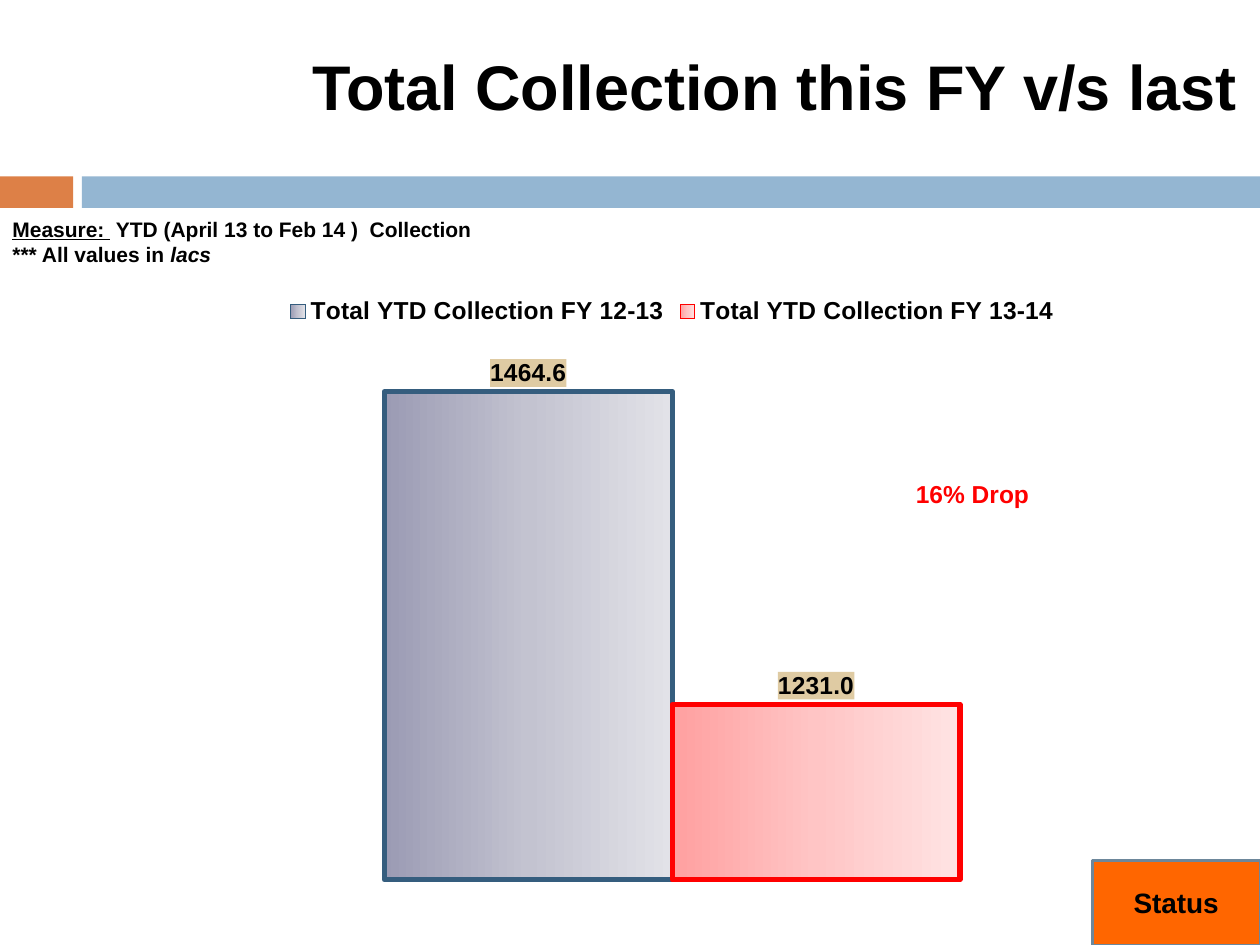
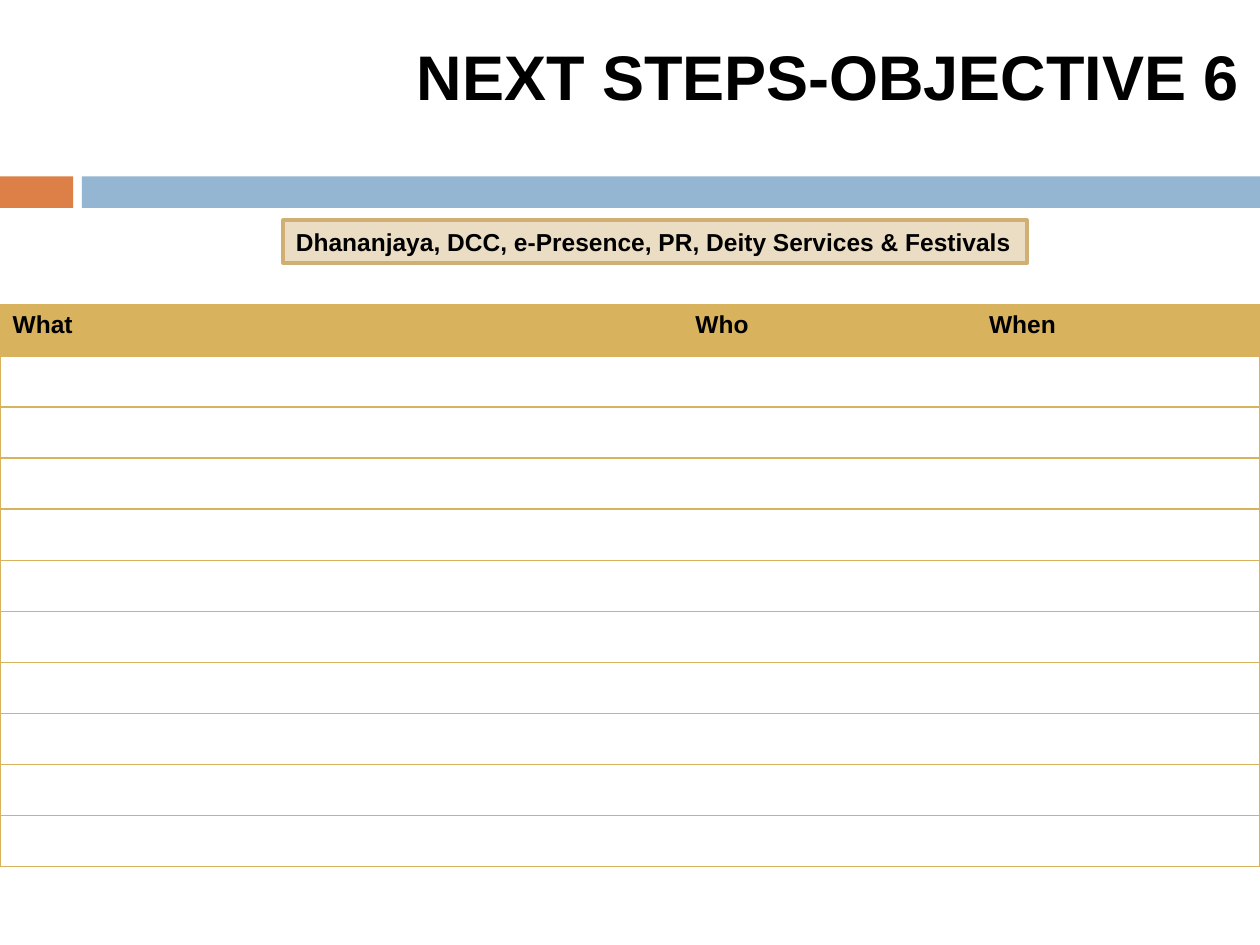
import pptx
import pptx.util
import pptx.oxml
import pptx.oxml.ns
import pptx.dml.color
import pptx.chart.data
import pptx.enum.chart
import pptx.enum.shapes
import pptx.enum.text

Inches = pptx.util.Inches
Pt = pptx.util.Pt
RGB = pptx.dml.color.RGBColor.from_string
RECTANGLE = pptx.enum.shapes.MSO_SHAPE.RECTANGLE
DRAWING = pptx.oxml.ns.nsdecls("a")

COLORS = {
    "text": "000000",
    "orange_band": "DD8047",
    "blue_band": "94B6D2",
    "status": "FF6600",
    "status_line": "6D879B",
    "owners": "EBDDC3",
    "owners_line": "D0AF72",
    "gold": "D8B25C",
    "value_label": "DFCBA3",
    "alert": "FF0000",
    "last_year_line": "355D7E",
}


def add_block(slide, place, fill, line=None, line_width=1.0):
    block = slide.shapes.add_shape(RECTANGLE, *[Inches(n) for n in place])
    block.shadow.inherit = False
    block.fill.solid()
    block.fill.fore_color.rgb = RGB(COLORS[fill])
    if line:
        block.line.color.rgb = RGB(COLORS[line])
        block.line.width = Pt(line_width)
    else:
        block.line.fill.background()
    return block


def style_text(frame, size, color="text", align=pptx.enum.text.PP_ALIGN.LEFT):
    for paragraph in frame.paragraphs:
        paragraph.alignment = align
        for run in paragraph.runs:
            run.font.name = "Arial"
            run.font.size = Pt(size)
            run.font.bold = True
            run.font.color.rgb = RGB(COLORS[color])


deck = pptx.Presentation()
deck.slide_width = Inches(10)
deck.slide_height = Inches(7.5)

slides = []
for title, left, top in [
    ("Total Collection this FY v/s last", 2.38, 0.33),
    ("NEXT STEPS-OBJECTIVE 6", 3.21, 0.25),
]:
    slide = deck.slides.add_slide(deck.slide_layouts[6])
    add_block(slide, (0, 1.4, 0.58, 0.25), "orange_band")
    add_block(slide, (0.65, 1.4, 9.35, 0.25), "blue_band")
    heading = slide.shapes.add_textbox(
        Inches(left), Inches(top), Inches(10 - left), Inches(0.71)).text_frame
    heading.word_wrap = False
    heading.text = title
    style_text(heading, 36)
    slides.append(slide)
collection_slide, steps_slide = slides

status = add_block(collection_slide, (8.67, 6.83, 1.33, 0.67), "status", "status_line", 1.5)
status.text_frame.text = "Status"
style_text(status.text_frame, 16, align=pptx.enum.text.PP_ALIGN.CENTER)

measure = collection_slide.shapes.add_textbox(
    Inches(0), Inches(1.67), Inches(4.25), Inches(0.5)).text_frame
measure.word_wrap = True
measure.text = "Measure: \n*** All values in "
period = measure.paragraphs[0].add_run()
period.text = " YTD (April 13 to Feb 14 )  Collection"
unit = measure.paragraphs[1].add_run()
unit.text = "lacs"
style_text(measure, 12)
measure.paragraphs[0].runs[0].font.underline = True
unit.font.italic = True

collections_by_year = [
    ("Total YTD Collection FY 12-13", 1464.6, "last_year_line", ("9B9BB4", "C3C3D0", "E2E2E8")),
    ("Total YTD Collection FY 13-14", 1231.0, "alert", ("FFA0A0", "FFC5C5", "FFE3E3")),
]
chart_data = pptx.chart.data.CategoryChartData(number_format="0.0")
chart_data.categories = ["1"]
for name, total, outline, shades in collections_by_year:
    chart_data.add_series(name, [total])
chart = collection_slide.shapes.add_chart(
    pptx.enum.chart.XL_CHART_TYPE.COLUMN_CLUSTERED,
    Inches(1.17), Inches(2.25), Inches(8.33), Inches(4.83), chart_data).chart
chart.has_title = False
chart.font.name = "Cabin"
chart.font.size = Pt(18)
chart.font.color.rgb = RGB(COLORS["text"])
chart.has_legend = True
chart.legend.position = pptx.enum.chart.XL_LEGEND_POSITION.TOP
chart.legend.include_in_layout = False
chart.legend.font.name = "Arial"
chart.legend.font.size = Pt(14)
chart.legend.font.bold = True
chart.category_axis.visible = False
chart.value_axis.visible = False
chart.value_axis.has_major_gridlines = False
chart.value_axis.minimum_scale = 1100
chart.value_axis.maximum_scale = 1500

plot = chart.plots[0]
plot.gap_width = 150
plot.overlap = 0
plot.vary_by_categories = False
for series, (name, total, outline, shades) in zip(plot.series, collections_by_year):
    series.format.line.color.rgb = RGB(COLORS[outline])
    series.format.line.width = Pt(3)
    stops = "".join(
        f'<a:gs pos="{position}"><a:srgbClr val="{shade}"/></a:gs>'
        for position, shade in zip((0, 50000, 100000), shades))
    series._element.get_or_add_spPr().insert(0, pptx.oxml.parse_xml(
        f'<a:gradFill {DRAWING}><a:gsLst>{stops}</a:gsLst><a:lin ang="0" scaled="0"/></a:gradFill>'))
    labels = series.data_labels
    labels.show_value = True
    labels.number_format = "0.0"
    labels.number_format_is_linked = False
    labels.position = pptx.enum.chart.XL_LABEL_POSITION.OUTSIDE_END
    labels.font.name = "Arial"
    labels.font.size = Pt(14)
    labels.font.bold = True
    labels.font.color.rgb = RGB(COLORS["text"])
    labels._element.find(pptx.oxml.ns.qn("c:numFmt")).addnext(pptx.oxml.parse_xml(
        f'<c:spPr {pptx.oxml.ns.nsdecls("c", "a")}><a:solidFill>'
        f'<a:srgbClr val="{COLORS["value_label"]}"/></a:solidFill></c:spPr>'))

plot_area = chart._chartSpace.chart.plotArea
for old_layout in plot_area.findall(pptx.oxml.ns.qn("c:layout")):
    plot_area.remove(old_layout)
plot_area.insert(0, pptx.oxml.parse_xml(
    f'<c:layout {pptx.oxml.ns.nsdecls("c")}><c:manualLayout><c:layoutTarget val="inner"/>'
    '<c:xMode val="edge"/><c:yMode val="edge"/><c:x val="0.02"/><c:y val="0.1"/>'
    '<c:w val="0.96"/><c:h val="0.88"/></c:manualLayout></c:layout>'))

drop = collection_slide.shapes.add_textbox(
    Inches(7.17), Inches(3.75), Inches(1.11), Inches(0.34)).text_frame
drop.word_wrap = False
drop.text = "16% Drop"
style_text(drop, 14, "alert")

owners = add_block(steps_slide, (2.25, 1.75, 5.9, 0.34), "owners", "owners_line", 2.25)
owners.text_frame.word_wrap = False
owners.text_frame.text = "Dhananjaya, DCC, e-Presence, PR, Deity Services & Festivals"
style_text(owners.text_frame, 14)

headers = ["What", "Who", "When"]
steps = steps_slide.shapes.add_table(
    11, len(headers), Inches(0), Inches(2.42), Inches(10), Inches(4.46)).table
steps.first_row = False
steps.horz_banding = False
steps._tbl.tblPr.find(pptx.oxml.ns.qn("a:tableStyleId")).text = "{2D5ABB26-0587-4C30-8999-92F81FD0307C}"
for column, width in zip(steps.columns, (5.42, 2.33, 2.25)):
    column.width = Inches(width)
for row_number, row in enumerate(steps.rows):
    for column_number, cell in enumerate(row.cells):
        edges = ["lnT", "lnB"]
        if column_number == 0:
            edges.insert(0, "lnL")
        if column_number == len(headers) - 1:
            edges.insert(0, "lnR")
        for edge in edges:
            cell._tc.get_or_add_tcPr().append(pptx.oxml.parse_xml(
                f'<a:{edge} {DRAWING} w="{Pt(0.79)}"><a:solidFill>'
                f'<a:srgbClr val="{COLORS["gold"]}"/></a:solidFill></a:{edge}>'))
        if row_number == 0:
            cell.fill.solid()
            cell.fill.fore_color.rgb = RGB(COLORS["gold"])
            cell.text_frame.text = headers[column_number]
            style_text(cell.text_frame, 14)
        else:
            cell.fill.background()
            cell.margin_top = cell.margin_bottom = Inches(0.03)

deck.save("out.pptx")
